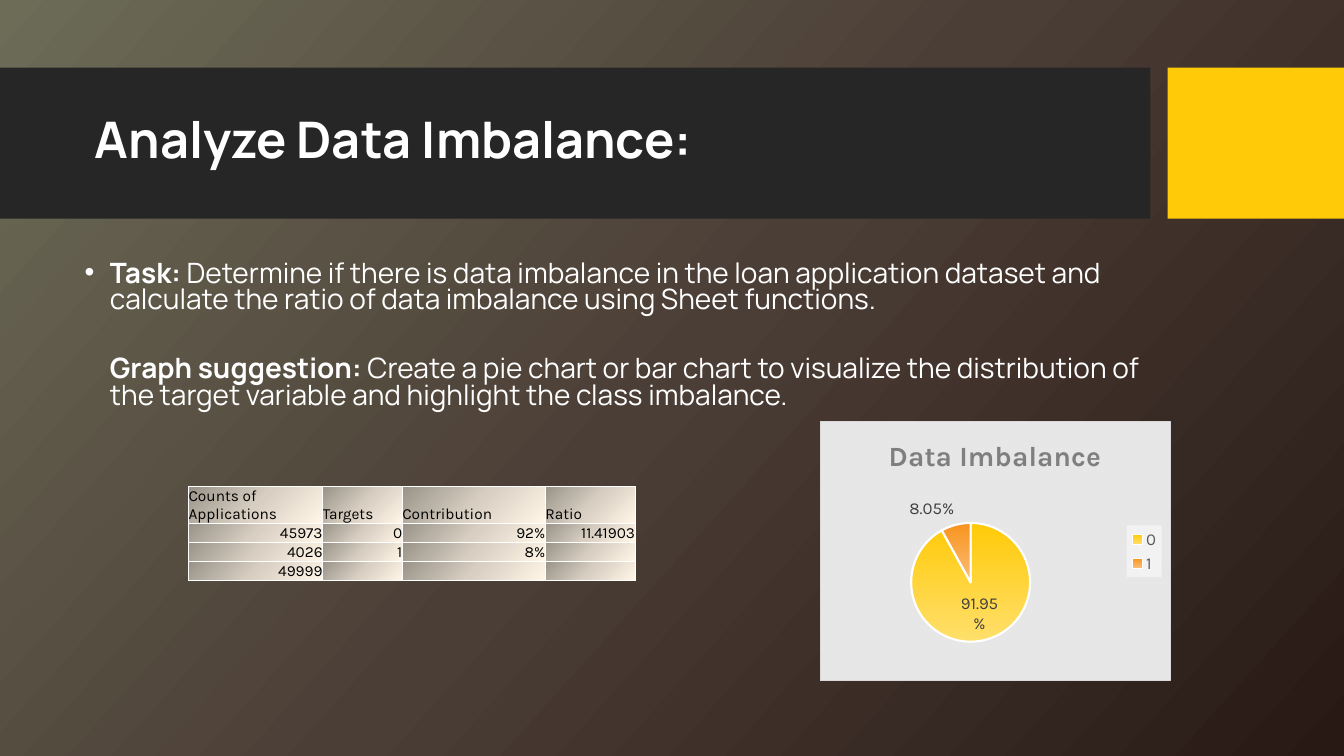
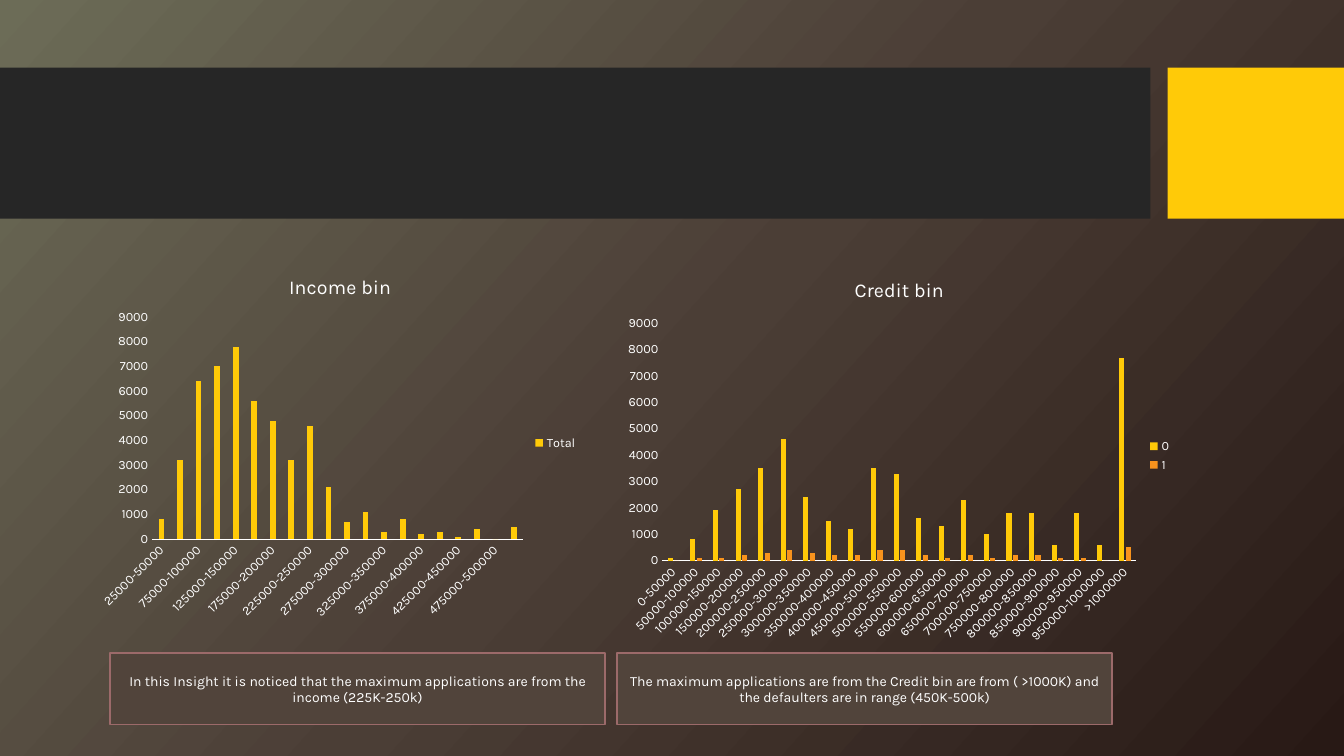
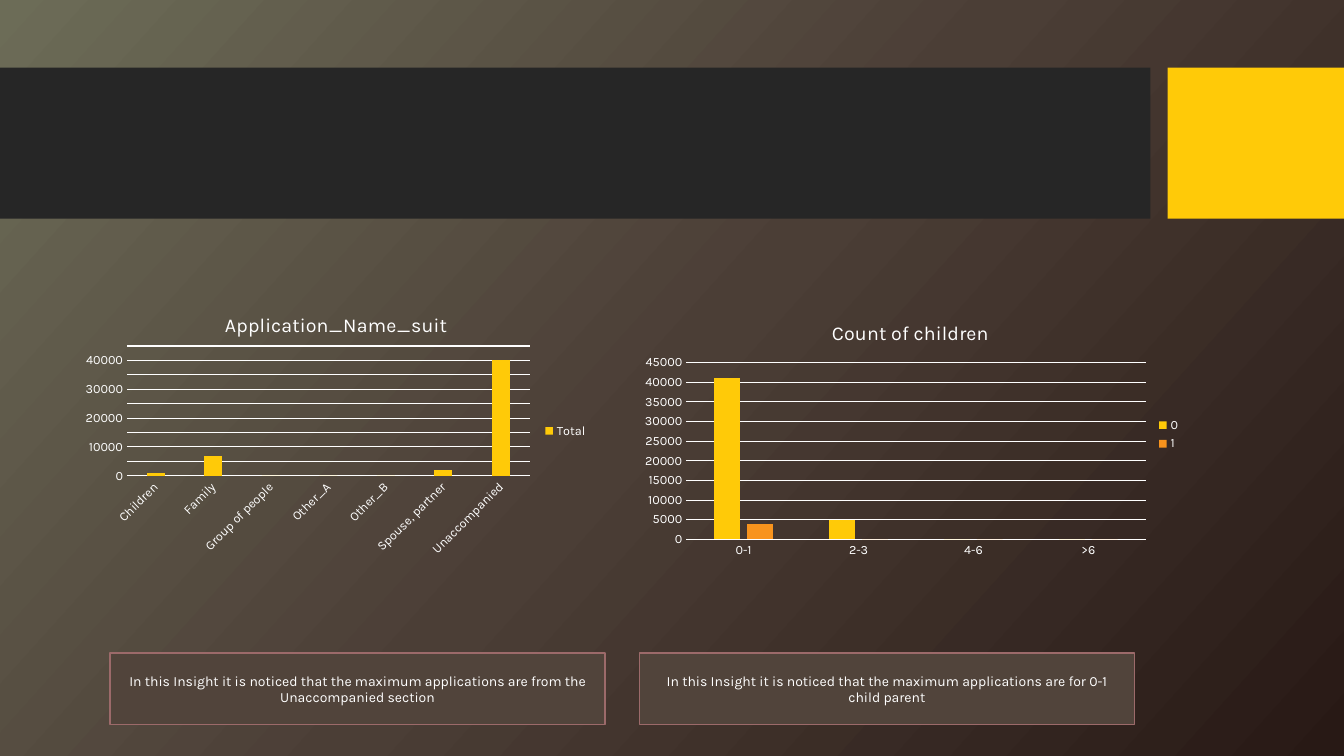
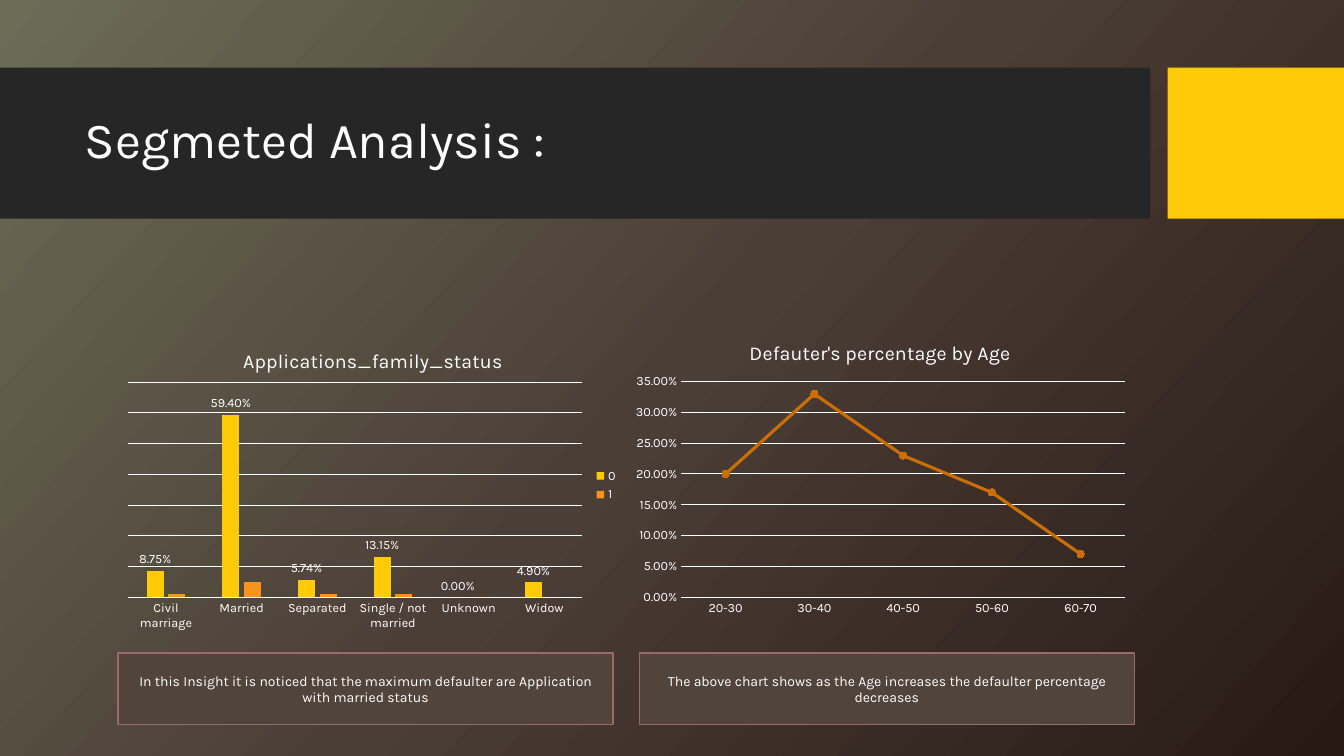
from copy import deepcopy

from lxml import etree
from pptx import Presentation
from pptx.chart.data import CategoryChartData
from pptx.dml.color import RGBColor
from pptx.enum.chart import XL_CHART_TYPE, XL_LABEL_POSITION, XL_LEGEND_POSITION, XL_MARKER_STYLE, XL_TICK_MARK
from pptx.enum.shapes import MSO_SHAPE
from pptx.enum.text import MSO_ANCHOR, MSO_AUTO_SIZE, PP_ALIGN
from pptx.oxml import parse_xml
from pptx.oxml.ns import nsdecls, qn
from pptx.util import Inches, Pt

COLUMNS = XL_CHART_TYPE.COLUMN_CLUSTERED
LINE = XL_CHART_TYPE.LINE_MARKERS_STACKED
PIE = XL_CHART_TYPE.PIE
LEFT, CENTER, RIGHT = PP_ALIGN.LEFT, PP_ALIGN.CENTER, PP_ALIGN.RIGHT
TOP, MIDDLE, BOTTOM = MSO_ANCHOR.TOP, MSO_ANCHOR.MIDDLE, MSO_ANCHOR.BOTTOM

THEME = {
    "background": ("6C6C57", "4B3E36", "281915"),
    "band": "262626",
    "accent": "FFCA08",
    "series": ("FFCA08", "F8931D"),
    "slices": (("FFCA08", "FFDF6B"), ("F8931D", "FBBE77")),
    "trend": "CA6F06",
    "cell": ("989288", "D8CFC2", "FFF6E7"),
    "caption": "51443B",
    "caption_line": "9C6A6A",
    "white": "FFFFFF",
    "black": "000000",
    "pie_title": "7F7F7F",
    "pie_legend": "595959",
    "pie_label": "404040",
    "heading_font": "Manrope",
    "text_font": "Karla",
    "title": 36, "body": 20, "chart_title": 14, "pie_title_size": 20,
    "pie_text": 12, "table": 11, "caption_size": 10, "axis": 9,
}

SLIDE_W, SLIDE_H = 13.33, 7.5
TITLE_BOX = (0.74, 0.82, 10.51, 1.18)
BODY_BOX = (0.74, 2.55, 10.87, 4.55)
BANDS = [((0, 0.67, 11.41, 1.5), "band"), ((11.58, 0.67, 1.75, 1.5), "accent")]
CAPTION_TOP, CAPTION_W, CAPTION_H = 6.48, 4.91, 0.71

BODY_RUNS = [
    ("Task: ", True),
    ("Determine if there is data imbalance in the loan application dataset and calculate "
     "the ratio of data imbalance using Sheet functions. \n\n", False),
    ("Graph suggestion:", True),
    (" Create a pie chart or bar chart to visualize the distribution of the target variable "
     "and highlight the class imbalance.", False),
]

COUNTS = {
    "at": (1.87, 4.83),
    "columns": (1.33, 0.79, 1.42, 0.89),
    "rows": (0.36, 0.19, 0.19, 0.19),
    "cells": [
        ("Counts of Applications", "Targets", "Contribution", "Ratio"),
        ("45973", "0", "92%", "11.41903"),
        ("4026", "1", "8%", ""),
        ("49999", "", "", ""),
    ],
}


def ranges(start, stop, step):
    return [f"{low}-{low + step}" for low in range(start, stop, step)] + [f">{stop}"]


IMBALANCE = {
    "kind": PIE, "title": "Data Imbalance", "at": (8.13, 4.18, 3.48, 2.58),
    "plot": (0.26, 0.39, 0.34, 0.46), "cats": ["0", "1"], "legend": True,
    "series": {"Series 1": (0.9195, 0.0805)}, "format": "0.00%",
}
INCOME = {
    "kind": COLUMNS, "title": "Income bin", "at": (0.92, 2.56, 4.91, 3.67),
    "plot": (0.12, 0.16, 0.75, 0.6), "cats": ranges(25000, 500000, 25000),
    "series": {"Total": (800, 3200, 6400, 7000, 7800, 5600, 4800, 3200, 4600, 2100,
                         700, 1100, 300, 800, 200, 300, 100, 400, 0, 500)},
    "scale": (9000, 1000), "slanted": True, "legend": True,
}
CREDIT = {
    "kind": COLUMNS, "title": "Credit bin", "at": (6.12, 2.59, 5.6, 3.86),
    "plot": (0.08, 0.16, 0.84, 0.61), "cats": ranges(0, 1000000, 50000),
    "series": {
        "0": (100, 800, 1900, 2700, 3500, 4600, 2400, 1500, 1200, 3500, 3300,
              1600, 1300, 2300, 1000, 1800, 1800, 600, 1800, 600, 7700),
        "1": (0, 100, 100, 200, 300, 400, 300, 200, 200, 400, 400,
              200, 100, 200, 100, 200, 200, 100, 100, 0, 500),
    },
    "scale": (9000, 1000), "slanted": True, "legend": True,
}
CHILDREN = {
    "kind": COLUMNS, "title": "Count of children", "at": (6.25, 3.04, 5.56, 2.54),
    "plot": (0.1, 0.22, 0.82, 0.69), "cats": ["0-1", "2-3", "4-6", ">6"],
    "series": {"0": (41000, 5000, 0, 0), "1": (4000, 0, 0, 0)},
    "scale": (45000, 5000), "grid": True, "legend": True,
}
COMPANY = {
    "kind": COLUMNS, "title": "Application_Name_suit", "at": (0.74, 2.96, 5.19, 2.63),
    "plot": (0.1, 0.18, 0.77, 0.49),
    "cats": ["Children", "Family", "Group of people", "Other_A", "Other_B",
             "Spouse, partner", "Unaccompanied"],
    "series": {"Total": (1000, 7000, 0, 0, 0, 2000, 40000)},
    "scale": (45000, 5000), "grid": True, "slanted": True, "legend": True,
}
FAMILY = {
    "kind": COLUMNS, "title": "Applications_family_status", "at": (1.17, 3.31, 5.06, 3.01),
    "plot": (0.02, 0.16, 0.89, 0.71),
    "cats": ["Civil marriage", "Married", "Separated", "Single / not married", "Unknown", "Widow"],
    "series": {"0": (0.0875, 0.594, 0.0574, 0.1315, 0, 0.049),
               "1": (0.01, 0.05, 0.01, 0.01, 0, 0)},
    "scale": (0.7, 0.1), "format": "0.00%", "grid": True, "legend": True,
    "hide_values": True, "labelled": "0",
}
AGE = {
    "kind": LINE, "title": "Defauter's percentage by Age", "at": (6.2, 3.23, 5.06, 2.93),
    "plot": (0.11, 0.19, 0.87, 0.73), "cats": ["20-30", "30-40", "40-50", "50-60", "60-70"],
    "series": {"Series 1": (0.2, 0.33, 0.23, 0.17, 0.07)},
    "scale": (0.35, 0.05), "format": "0.00%", "grid": True,
}

SLIDES = [
    {"layout": 1, "title": " Analyze Data Imbalance: ",
     "title_format": {"font": THEME["heading_font"], "bold": True},
     "body": BODY_RUNS, "table": COUNTS, "charts": [IMBALANCE]},
    {"layout": 6, "charts": [INCOME, CREDIT], "captions": [
        (1.09, "In this Insight it is noticed that the maximum applications are from the income (225K-250k)"),
        (6.12, "The maximum applications are from the Credit bin are from ( >1000K) and the defaulters "
               "are in range (450K-500k)")]},
    {"layout": 6, "charts": [CHILDREN, COMPANY], "captions": [
        (1.09, "In this Insight it is noticed that the maximum applications are from the Unaccompanied section"),
        (6.34, "In this Insight it is noticed that the maximum applications are for 0-1 child parent")]},
    {"layout": 5, "title": "Segmeted Analysis :", "charts": [FAMILY, AGE], "captions": [
        (6.34, "The above chart shows as the Age increases the defaulter percentage decreases"),
        (1.17, "In this Insight it is noticed that the maximum defaulter are Application with married status")]},
]


def rgb(name):
    return RGBColor.from_string(THEME.get(name, name))


def inches(box):
    return [Inches(length) for length in box]


def set_font(font, size, color="white", face=THEME["text_font"], bold=False):
    font.size, font.name, font.bold = Pt(size), face, bold
    font.color.rgb = rgb(color)


def write(frame, runs, size, color="white", font=THEME["text_font"], bold=False,
          align=None, anchor=None, spacing=None, bullet=False):
    paragraph = frame.paragraphs[0]
    if bullet:
        properties = paragraph._p.get_or_add_pPr()
        properties.set("marL", str(Inches(0.25)))
        properties.set("indent", str(-Inches(0.25)))
        etree.SubElement(properties, qn("a:buChar")).set("char", "•")
    paragraph.alignment = align
    paragraph.space_before = Pt(0)
    if spacing:
        paragraph.line_spacing = spacing
    if anchor is not None:
        frame.vertical_anchor = anchor
    for text, heavy in [(runs, bold)] if isinstance(runs, str) else runs:
        for index, line in enumerate(text.split("\n")):
            if index:
                paragraph.add_line_break()
            if line:
                run = paragraph.add_run()
                run.text = line
                set_font(run.font, size, color, font, heavy)
    if not runs:
        paragraph._p.get_or_add_endParaRPr().set("sz", str(size * 100))


def set_gradient(fill, colors, angle, owner=None):
    fill.gradient()
    fill.gradient_angle = 360 - angle
    if len(colors) == 3:
        stops = owner.find(".//" + qn("a:gsLst"))
        stops.insert(1, deepcopy(stops[0]))
    for index, (stop, color) in enumerate(zip(fill.gradient_stops, colors)):
        stop.position = index / (len(colors) - 1)
        stop.color.rgb = rgb(color)


def add_box(slide, box, fill, line=None):
    shape = slide.shapes.add_shape(MSO_SHAPE.RECTANGLE, *inches(box))
    shape.shadow.inherit = False
    shape.fill.solid()
    shape.fill.fore_color.rgb = rgb(fill)
    if line:
        shape.line.color.rgb = rgb(line)
        shape.line.width = Pt(1)
    else:
        shape.line.fill.background()
    return shape


def style_master(master, slide):
    set_gradient(master.background.fill, THEME["background"], 42, master.element)
    for position, (box, color) in enumerate(BANDS):
        band = add_box(slide, box, color)
        master.shapes.element.insert(2 + position, band.element)


def fill_placeholder(placeholder, box, runs, size, **text_format):
    placeholder.left, placeholder.top, placeholder.width, placeholder.height = inches(box)
    frame = placeholder.text_frame
    frame.word_wrap = True
    frame.auto_size = MSO_AUTO_SIZE.NONE
    write(frame, runs, size, align=LEFT, **text_format)


def add_caption(slide, left, text):
    caption = add_box(slide, (left, CAPTION_TOP, CAPTION_W, CAPTION_H), "caption", "caption_line")
    caption.text_frame.word_wrap = True
    write(caption.text_frame, text, THEME["caption_size"], align=CENTER, anchor=MIDDLE)


def add_borders(cell):
    properties = cell._tc.get_or_add_tcPr()
    for index, side in enumerate("LRTB"):
        properties.insert(index, parse_xml(
            f'<a:ln{side} {nsdecls("a")} w="{Pt(1)}"><a:solidFill>'
            f'<a:srgbClr val="{THEME["white"]}"/></a:solidFill></a:ln{side}>'))


def add_counts(slide, counts):
    columns, rows = counts["columns"], counts["rows"]
    table = slide.shapes.add_table(
        len(rows), len(columns), *inches((*counts["at"], sum(columns), sum(rows)))).table
    table.first_row = table.horz_banding = False
    for column, width in zip(table.columns, columns):
        column.width = Inches(width)
    for row, height, texts in zip(table.rows, rows, counts["cells"]):
        row.height = Inches(height)
        for cell, text in zip(row.cells, texts):
            cell.margin_left = cell.margin_right = cell.margin_top = cell.margin_bottom = 0
            cell.vertical_anchor = BOTTOM
            header = texts is counts["cells"][0]
            write(cell.text_frame, text, THEME["table"], "black", align=LEFT if header else RIGHT)
            set_gradient(cell.fill, THEME["cell"], 45, cell._tc)
            add_borders(cell)


def set_plot_layout(chart, shares):
    area = chart._chartSpace.chart.plotArea
    for layout in area.findall(qn("c:layout")):
        area.remove(layout)
    places = "".join(f'<c:{tag} val="{share}"/>' for tag, share in zip("xywh", shares))
    area.insert(0, parse_xml(
        f'<c:layout {nsdecls("c")}><c:manualLayout><c:layoutTarget val="inner"/>'
        f'<c:xMode val="edge"/><c:yMode val="edge"/>{places}</c:manualLayout></c:layout>'))


def chart_surface(fill, line="<a:noFill/>"):
    return parse_xml(f'<c:spPr {nsdecls("c", "a")}>{fill}<a:ln w="{Pt(0.75)}">{line}</a:ln></c:spPr>')


def solid(color):
    return f'<a:solidFill><a:srgbClr val="{color}"/></a:solidFill>'


def style_axes(chart, data):
    category, value = chart.category_axis, chart.value_axis
    for axis in (category, value):
        axis.major_tick_mark = axis.minor_tick_mark = XL_TICK_MARK.NONE
        set_font(axis.tick_labels.font, THEME["axis"])
    category.format.line.color.rgb = rgb("white")
    category.format.line.width = Pt(0.75)
    if data.get("slanted"):
        category._element.find(qn("c:txPr")).find(qn("a:bodyPr")).set("rot", "-2700000")
    value.format.line.fill.background()
    value.minimum_scale = 0
    value.maximum_scale, value.major_unit = data["scale"]
    value.tick_labels.number_format = data.get("format", "General")
    value.tick_labels.number_format_is_linked = False
    value.has_major_gridlines = data.get("grid", False)
    if value.has_major_gridlines:
        value.major_gridlines.format.line.color.rgb = rgb("white")
        value.major_gridlines.format.line.width = Pt(0.75)
    value.visible = not data.get("hide_values", False)


def add_labels(series, number_format, position, size, color):
    labels = series.data_labels
    labels.show_value = True
    labels.number_format = number_format
    labels.number_format_is_linked = False
    labels.position = position
    set_font(labels.font, size, color)


def style_pie(series, number_format):
    for index, colors in enumerate(THEME["slices"]):
        piece = series.points[index].format
        set_gradient(piece.fill, colors, 90)
        piece.line.color.rgb = rgb("white")
        piece.line.width = Pt(1.5)
    add_labels(series, number_format, XL_LABEL_POSITION.BEST_FIT, THEME["pie_text"], "pie_label")


def style_trend(series):
    series.smooth = False
    series.format.line.color.rgb = rgb("trend")
    series.format.line.width = Pt(2.25)
    series.marker.style = XL_MARKER_STYLE.CIRCLE
    series.marker.size = 5
    series.marker.format.fill.solid()
    series.marker.format.fill.fore_color.rgb = rgb("trend")
    series.marker.format.line.color.rgb = rgb("trend")


def style_columns(plot, data):
    plot.gap_width, plot.overlap = 219, -27
    for series, color in zip(plot.series, THEME["series"]):
        series.format.fill.solid()
        series.format.fill.fore_color.rgb = rgb(color)
        series.invert_if_negative = False
        if series.name == data.get("labelled"):
            add_labels(series, data["format"], XL_LABEL_POSITION.OUTSIDE_END, THEME["axis"], "white")


def add_graph(slide, data):
    kind = data["kind"]
    is_pie = kind == PIE
    chart_data = CategoryChartData(number_format=data.get("format", "General"))
    chart_data.categories = data["cats"]
    for name, values in data["series"].items():
        chart_data.add_series(name, values)
    chart = slide.shapes.add_chart(kind, *inches(data["at"]), chart_data).chart
    set_font(chart.font, THEME["caption_size"])
    chart.has_title = True
    write(chart.chart_title.text_frame, data["title"],
          THEME["pie_title_size" if is_pie else "chart_title"],
          "pie_title" if is_pie else "white", bold=is_pie)
    chart.chart_title.include_in_layout = False
    set_plot_layout(chart, data["plot"])
    chart.has_legend = data.get("legend", False)
    if chart.has_legend:
        chart.legend.position = XL_LEGEND_POSITION.RIGHT
        chart.legend.include_in_layout = False
        set_font(chart.legend.font, THEME["pie_text" if is_pie else "axis"],
                 "pie_legend" if is_pie else "white")
    plot = chart.plots[0]
    plot.vary_by_categories = is_pie
    surface = chart_surface("<a:noFill/>")
    if is_pie:
        style_pie(plot.series[0], data["format"])
        overlay = chart.legend._element.find(qn("c:overlay"))
        overlay.addnext(chart_surface(solid("F2F2F2")))
        surface = chart_surface(
            '<a:pattFill prst="dkDnDiag"><a:fgClr><a:srgbClr val="EBEBEB"/></a:fgClr>'
            '<a:bgClr><a:srgbClr val="E6E6E6"/></a:bgClr></a:pattFill>', solid("D9D9D9"))
    else:
        style_axes(chart, data)
        if kind == LINE:
            style_trend(plot.series[0])
        else:
            style_columns(plot, data)
    chart._chartSpace.chart.addnext(surface)


def main():
    deck = Presentation()
    deck.slide_width, deck.slide_height = inches((SLIDE_W, SLIDE_H))
    for number, content in enumerate(SLIDES):
        slide = deck.slides.add_slide(deck.slide_layouts[content["layout"]])
        if number == 0:
            style_master(deck.slide_master, slide)
        if "title" in content:
            fill_placeholder(slide.shapes.title, TITLE_BOX, content["title"], THEME["title"],
                             anchor=MIDDLE, spacing=0.9, **content.get("title_format", {}))
        if "body" in content:
            fill_placeholder(slide.placeholders[1], BODY_BOX, content["body"], THEME["body"],
                             font=THEME["heading_font"], anchor=TOP, spacing=0.79, bullet=True)
        for data in content["charts"]:
            add_graph(slide, data)
        if "table" in content:
            add_counts(slide, content["table"])
        for left, text in content.get("captions", []):
            add_caption(slide, left, text)
    deck.save("out.pptx")


if __name__ == "__main__":
    main()
